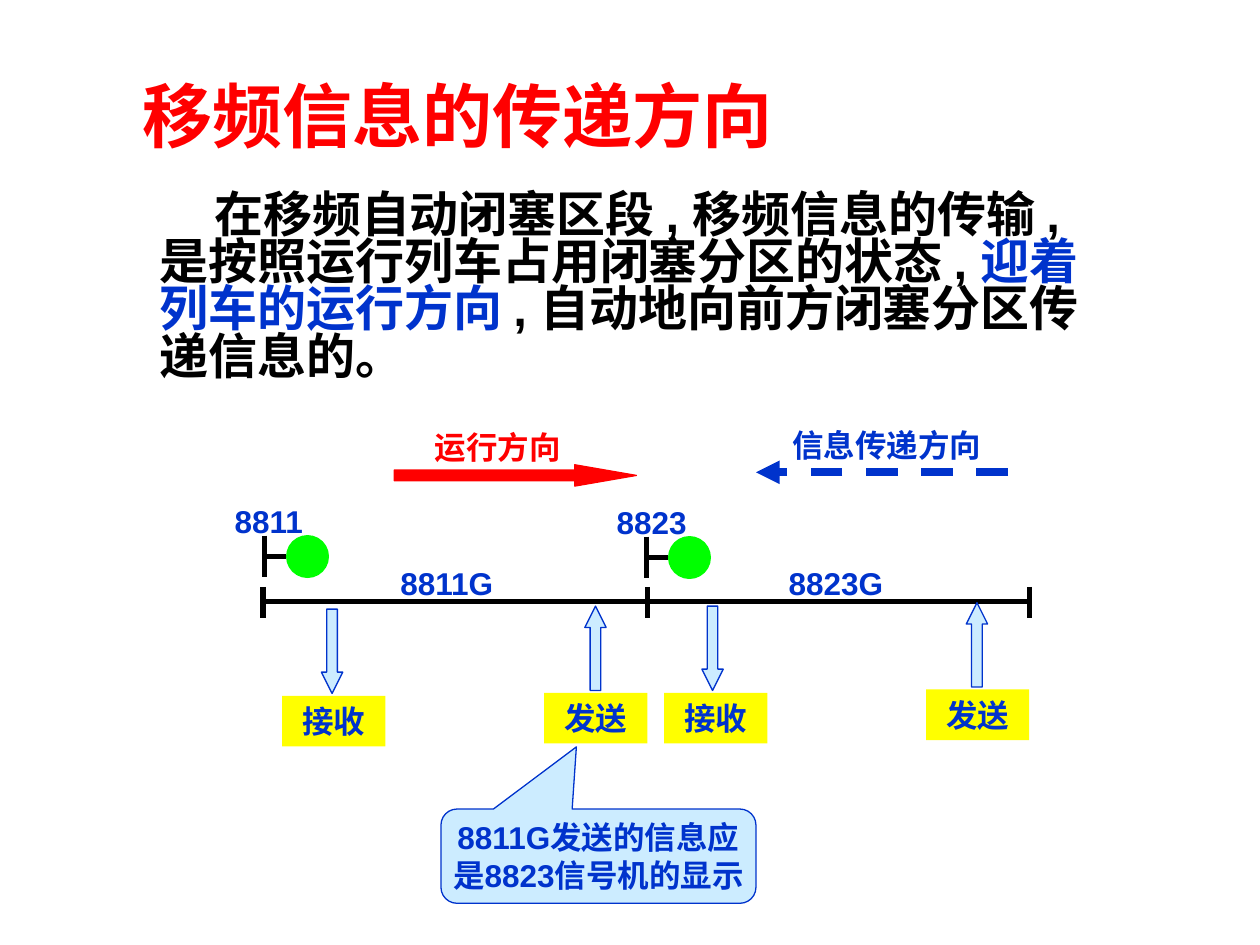
from pptx import Presentation
from pptx.dml.color import RGBColor
from pptx.enum.dml import MSO_LINE
from pptx.enum.shapes import MSO_CONNECTOR, MSO_SHAPE
from pptx.enum.text import MSO_ANCHOR, PP_ALIGN
from pptx.oxml.ns import qn
from pptx.util import Cm, Pt
from lxml.etree import SubElement

COLORS = {
    "black": "000000", "red": "FF0000", "blue": "0033CC",
    "green": "00FF00", "yellow": "FFFF00", "pale": "CCECFF",
}
TRACK_Y = 12.13


def rgb(name):
    """Return the named colour."""
    return RGBColor.from_string(COLORS[name])


def write(s, *paragraphs, size=18, color="blue", align=PP_ALIGN.LEFT,
          anchor=MSO_ANCHOR.TOP, wrap=True, spacing=None, indent=None):
    """Fill a shape with paragraphs, each a string or a list of (text, colour)."""
    tf = s.text_frame
    tf.word_wrap = wrap
    tf.vertical_anchor = anchor
    for i, content in enumerate(paragraphs):
        p = tf.add_paragraph() if i else tf.paragraphs[0]
        p.alignment = align
        if spacing:
            p.line_spacing = spacing
        if indent:
            p._p.get_or_add_pPr().set("indent", str(indent))
        runs = [(content, color)] if isinstance(content, str) else content
        for text, run_color in runs:
            r = p.add_run()
            r.text = text
            r.font.name = "Arial"
            r.font.size = Pt(size)
            r.font.bold = True
            r.font.color.rgb = rgb(run_color)


def add_text(slide, x, y, w, h, *paragraphs, **fmt):
    """Add a text box, measured in centimetres."""
    s = slide.shapes.add_textbox(Cm(x), Cm(y), Cm(w), Cm(h))
    write(s, *paragraphs, **fmt)
    return s


def add_box(slide, kind, x, y, w, h, fill, line=None, adj=()):
    """Add a filled preset shape, with a thin outline if a colour is given."""
    s = slide.shapes.add_shape(kind, Cm(x), Cm(y), Cm(w), Cm(h))
    s.shadow.inherit = False
    s.fill.solid()
    s.fill.fore_color.rgb = rgb(fill)
    if line:
        s.line.color.rgb = rgb(line)
        s.line.width = Pt(0.75)
    else:
        s.line.fill.background()
    for i, value in enumerate(adj):
        s.adjustments[i] = value
    return s


def add_line(slide, x1, y1, x2, y2, color="black", width=3):
    """Add a straight line without a shadow."""
    s = slide.shapes.add_connector(
        MSO_CONNECTOR.STRAIGHT, Cm(x1), Cm(y1), Cm(x2), Cm(y2))
    s.line.color.rgb = rgb(color)
    s.line.width = Pt(width)
    SubElement(s._element.spPr, qn("a:effectLst"))
    return s


def add_signal(slide, x, y, name):
    """Add a signal post with its green lamp and its number."""
    add_line(slide, x, y, x, y + 0.84)
    add_line(slide, x, y + 0.42, x + 0.43, y + 0.42)
    add_box(slide, MSO_SHAPE.OVAL, x + 0.45, y, 0.84, 0.84, "green", "green")
    add_text(slide, x - 0.85, y - 0.81, 2.34, 1.02, name)


def add_port(slide, x, y, kind, label_x, label):
    """Add a block arrow at the track and the yellow label below it."""
    add_box(slide, kind, x, y, 0.43, 1.7, "pale", "blue", (0.5, 1))
    s = add_box(slide, MSO_SHAPE.RECTANGLE, label_x, y + 1.75, 2.08, 1.02, "yellow")
    write(s, label, align=PP_ALIGN.CENTER)


def add_track(slide):
    """Add the two track sections with their joints and names."""
    joints = (5.3, 13.06, 20.75)
    for x1, x2 in zip(joints, joints[1:]):
        add_line(slide, x1, TRACK_Y, x2, TRACK_Y)
    for x in joints:
        add_line(slide, x, TRACK_Y - 0.3, x, TRACK_Y + 0.33)
    for x, name in ((7.82, "8811G"), (15.65, "8823G")):
        add_text(slide, x, 11.25, 2.97, 1.02, name)


def add_directions(slide):
    """Add the running arrow and the dashed information arrow."""
    add_box(slide, MSO_SHAPE.RIGHT_ARROW, 7.95, 9.37, 4.88, 0.43,
            "red", "red", (0.5, 2.89))
    add_text(slide, 8.51, 8.51, 3.73, 1.02, "运行方向", color="red")
    s = add_line(slide, 20.32, 9.52, 15.24, 9.52, "blue", 4.5)
    s.line.dash_style = MSO_LINE.DASH
    SubElement(s.line._get_or_add_ln(), qn("a:tailEnd"), type="triangle")
    add_text(slide, 15.72, 8.46, 4.65, 1.02, "信息传递方向")


def main():
    """Build the slide and save it."""
    prs = Presentation()
    prs.slide_width, prs.slide_height = Cm(25.4), Cm(19.05)
    slide = prs.slides.add_slide(prs.slide_layouts[6])

    add_text(slide, 2.54, 1.35, 13.36, 1.91, "移频信息的传递方向", size=40,
             color="red", align=PP_ALIGN.CENTER, anchor=MSO_ANCHOR.MIDDLE)
    add_text(slide, 2.97, 3.81, 19.89, 4.06, [
        ("在移频自动闭塞区段 , 移频信息的传输 , 是按照运行列车占用闭塞分区的状态 , ", "black"),
        ("迎着列车的运行方向 ", "blue"),
        (", 自动地向前方闭塞分区传递信息的。", "black"),
    ], size=28, spacing=0.8, indent=Cm(1.1))

    add_track(slide)
    add_signal(slide, 5.33, 10.8, "8811")
    add_signal(slide, 13.03, 10.82, "8823")
    down, up = MSO_SHAPE.DOWN_ARROW, MSO_SHAPE.UP_ARROW
    add_port(slide, 6.48, 12.28, down, 5.69, "接收")
    add_port(slide, 11.79, 12.22, up, 10.97, "发送")
    add_port(slide, 14.15, 12.22, down, 13.39, "接收")
    add_port(slide, 19.48, 12.15, up, 18.67, "发送")
    add_directions(slide)

    callout = add_box(slide, MSO_SHAPE.ROUNDED_RECTANGULAR_CALLOUT, 8.89, 16.31,
                      6.35, 1.9, "pale", "blue", (-0.07, -1.16, 0.17))
    write(callout, "8811G发送的信息应", "是8823信号机的显示",
          align=PP_ALIGN.CENTER, anchor=MSO_ANCHOR.MIDDLE, wrap=False)

    prs.save("out.pptx")


if __name__ == "__main__":
    main()
